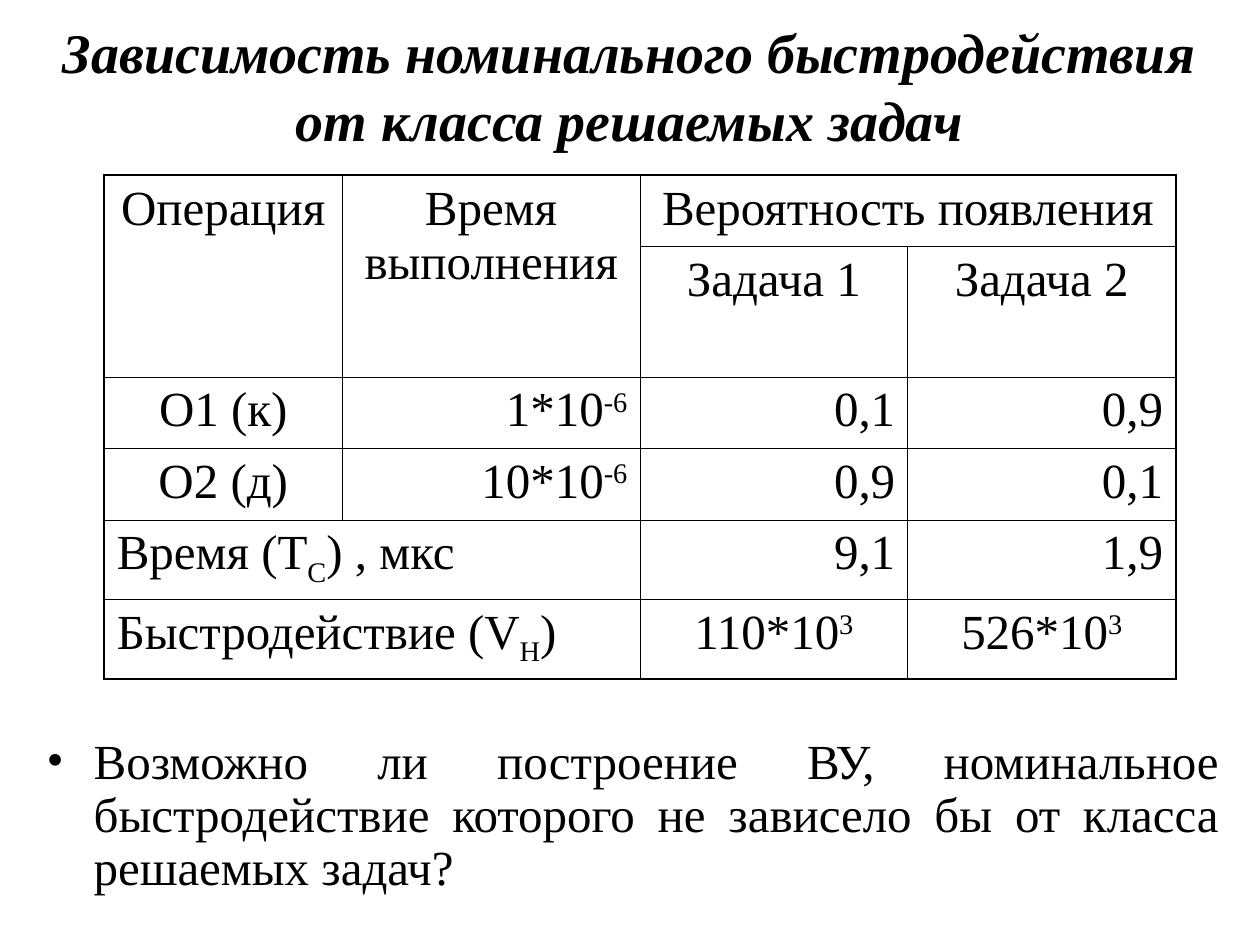
from typing import NamedTuple

from pptx import Presentation
from pptx.dml import color
from pptx.enum import text as enums
from pptx.oxml import ns, xmlchemy
from pptx.util import Cm, Pt

FONT = "Times New Roman"
INK = "000000"
OUTER, INNER = Pt(1.08), Pt(0.45)
RAISED, LOWERED = 30, -25
LEFT, CENTER, RIGHT, JUSTIFY = (
    enums.PP_ALIGN.LEFT, enums.PP_ALIGN.CENTER, enums.PP_ALIGN.RIGHT, enums.PP_ALIGN.JUSTIFY)

COLUMNS = (4.8, 6, 5.4, 5.4)
ROWS = (1.35, 2.44, 1.35, 1.35, 1.5, 1.5)


class Piece(NamedTuple):
    text: str
    baseline: int = 0


class Entry(NamedTuple):
    row: int
    column: int
    pieces: tuple[Piece, ...]
    align: enums.PP_ALIGN = CENTER
    height: int = 1
    width: int = 1


def plain(text: str) -> tuple[Piece, ...]:
    return (Piece(text),)


def power(number: str, exponent: str) -> tuple[Piece, ...]:
    return Piece(number), Piece(exponent, RAISED)


def indexed(before: str, index: str, after: str) -> tuple[Piece, ...]:
    return Piece(before), Piece(index, LOWERED), Piece(after)


ENTRIES = (
    Entry(0, 0, plain("Операция"), height=2),
    Entry(0, 1, plain("Время выполнения"), height=2),
    Entry(0, 2, plain("Вероятность появления"), width=2),
    Entry(1, 2, plain("Задача 1")),
    Entry(1, 3, plain("Задача 2")),
    Entry(2, 0, plain("О1 (к)")),
    Entry(2, 1, power("1*10", "-6"), RIGHT),
    Entry(2, 2, plain("0,1"), RIGHT),
    Entry(2, 3, plain("0,9"), RIGHT),
    Entry(3, 0, plain("О2 (д)")),
    Entry(3, 1, power("10*10", "-6"), RIGHT),
    Entry(3, 2, plain("0,9"), RIGHT),
    Entry(3, 3, plain("0,1"), RIGHT),
    Entry(4, 0, indexed("Время (Т", "С", ") , мкс"), LEFT, width=2),
    Entry(4, 2, plain("9,1"), RIGHT),
    Entry(4, 3, plain("1,9"), RIGHT),
    Entry(5, 0, indexed("Быстродействие (V", "Н", ")"), LEFT, width=2),
    Entry(5, 2, power("110*10", "3")),
    Entry(5, 3, power("526*10", "3")),
)


def rgb(value: str) -> color.RGBColor:
    return color.RGBColor.from_string(value)


def add_child(parent, tag: str, **attributes):
    child = xmlchemy.OxmlElement(tag)
    for name, value in attributes.items():
        child.set(name, str(value))
    parent.append(child)
    return child


def write(frame, pieces, *, align=LEFT, size=28, bold=False, italic=False, spacing=None):
    """Fill the first paragraph of a text frame and return it."""
    para = frame.paragraphs[0]
    para.alignment = align
    if spacing:
        para.line_spacing = spacing
    for piece in pieces:
        span = para.add_run()
        span.text = piece.text
        font = span.font
        font.name, font.size, font.bold, font.italic = FONT, Pt(size), bold, italic
        font.color.rgb = rgb(INK)
        if piece.baseline:
            span._r.get_or_add_rPr().set("baseline", str(piece.baseline * 1000))
    return para


def add_box(page, left, top, width, height, text, *, anchor=enums.MSO_ANCHOR.TOP, **style):
    frame = page.shapes.add_textbox(Cm(left), Cm(top), Cm(width), Cm(height)).text_frame
    frame.word_wrap = True
    frame.vertical_anchor = anchor
    return write(frame, plain(text), **style)


def add_bullet(para, indent: float):
    properties = para._p.get_or_add_pPr()
    properties.set("marL", str(Cm(indent)))
    properties.set("indent", str(-Cm(indent)))
    bullet_color = add_child(properties, "a:buClr")
    add_child(bullet_color, "a:srgbClr", val=INK)
    add_child(properties, "a:buFont", typeface=FONT)
    add_child(properties, "a:buChar", char="•")


def set_borders(cell, entry: Entry):
    """Draw thick lines on the table's outline and thin ones inside."""
    on_outline = {
        "L": entry.column == 0,
        "R": entry.column + entry.width == len(COLUMNS),
        "T": entry.row == 0,
        "B": entry.row + entry.height == len(ROWS),
    }
    properties = cell._tc.get_or_add_tcPr()
    for side, outer in on_outline.items():
        line = add_child(properties, f"a:ln{side}", w=int(OUTER if outer else INNER))
        fill = add_child(line, "a:solidFill")
        add_child(fill, "a:srgbClr", val=INK)


def add_results(page, left: float, top: float):
    frame = page.shapes.add_table(
        len(ROWS), len(COLUMNS), Cm(left), Cm(top), Cm(sum(COLUMNS)), Cm(sum(ROWS)))
    table = frame.table
    table.first_row = table.horz_banding = False
    for column, width in zip(table.columns, COLUMNS):
        column.width = Cm(width)
    for row, height in zip(table.rows, ROWS):
        row.height = Cm(height)
    for entry in ENTRIES:
        cell = table.cell(entry.row, entry.column)
        if entry.height * entry.width > 1:
            cell.merge(table.cell(entry.row + entry.height - 1, entry.column + entry.width - 1))
        write(cell.text_frame, entry.pieces, align=entry.align)
        set_borders(cell, entry)
    for cell in table.iter_cells():
        cell.fill.background()


def main():
    deck = Presentation()
    deck.slide_width, deck.slide_height = Cm(25.4), Cm(19.05)
    page = deck.slides.add_slide(deck.slide_layouts[6])
    add_box(page, 0.69, 0.33, 24, 2.77,
            "Зависимость номинального быстродействия от класса решаемых задач",
            anchor=enums.MSO_ANCHOR.MIDDLE, align=CENTER, size=32, bold=True, italic=True)
    question = add_box(
        page, 0.69, 14.73, 24.13, 3.78,
        "Возможно ли построение ВУ, номинальное быстродействие которого "
        "не зависело бы от класса решаемых задач?",
        align=JUSTIFY, spacing=0.9)
    add_bullet(question, 0.95)
    add_results(page, 2.1, 3.53)
    deck.save("out.pptx")


if __name__ == "__main__":
    main()
